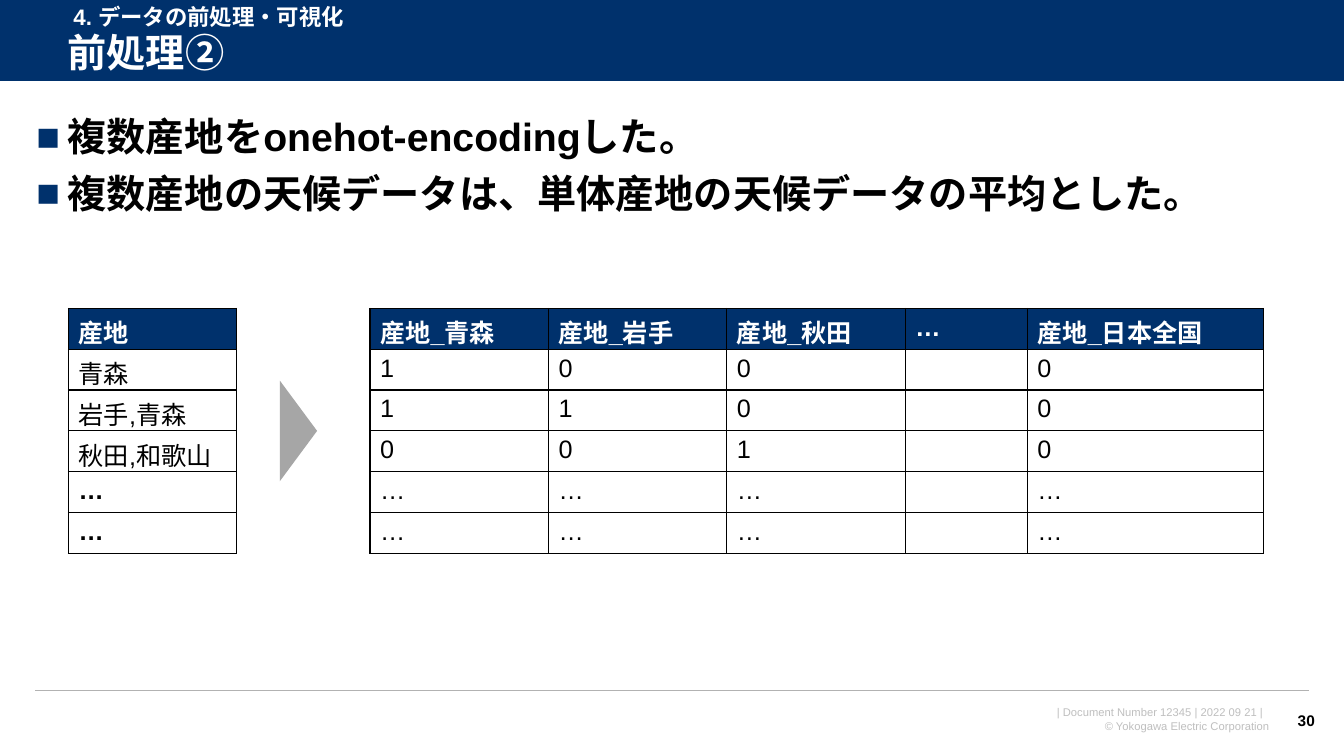
from lxml import etree
from pptx import Presentation
from pptx.dml.color import RGBColor
from pptx.enum import shapes, text
from pptx.oxml import ns
from pptx.util import Inches, Pt

COLORS = {
    "navy": "00316C",
    "white": "FFFFFF",
    "black": "000000",
    "rule": "B2B2B2",
    "footer": "BFBFBF",
    "arrow": "A6A6A6",
}
LEFT, RIGHT = text.PP_ALIGN.LEFT, text.PP_ALIGN.RIGHT


def write(frame, content, size, color, bold=False, align=LEFT):
    frame.text = content
    for paragraph in frame.paragraphs:
        paragraph.alignment = align
        for run in paragraph.runs:
            run.font.name = "Arial"
            run.font.size = Pt(size)
            run.font.bold = bold
            run.font.color.rgb = RGBColor.from_string(COLORS[color])


def add_xml(parent, tag, **attributes):
    element = etree.SubElement(parent, ns.qn(tag))
    for name, value in attributes.items():
        element.set(name, value)
    return element


presentation = Presentation()
presentation.slide_width = Inches(13.33)
presentation.slide_height = Inches(7.5)
slide = presentation.slides.add_slide(presentation.slide_layouts[1])
title, body = slide.placeholders

band = slide.shapes.add_shape(shapes.MSO_SHAPE.RECTANGLE, 0, 0, Inches(13.33), Inches(0.81))
arrow = slide.shapes.add_shape(
    shapes.MSO_SHAPE.ISOSCELES_TRIANGLE, Inches(2.46), Inches(4.09), Inches(1), Inches(0.37)
)
arrow.rotation = 90
for shape, color in [(band, "navy"), (arrow, "arrow")]:
    shape.shadow.inherit = False
    shape.fill.solid()
    shape.fill.fore_color.rgb = RGBColor.from_string(COLORS[color])
    shape.line.fill.background()

for left, right, top, color, width in [(0, 13.33, 0.81, "white", 0.75), (0.35, 12.98, 6.85, "rule", 1)]:
    rule = slide.shapes.add_connector(
        shapes.MSO_CONNECTOR.STRAIGHT, Inches(left), Inches(top), Inches(right), Inches(top)
    )
    rule.line.color.rgb = RGBColor.from_string(COLORS[color])
    rule.line.width = Pt(width)
    add_xml(rule._element.spPr, "a:effectLst")

slide.shapes._spTree.append(title._element)
title.left, title.top, title.width, title.height = map(Inches, (0.57, 0.26, 12.47, 0.57))
title.text_frame.auto_size = text.MSO_AUTO_SIZE.NONE
title.text_frame.vertical_anchor = text.MSO_ANCHOR.MIDDLE
write(title.text_frame, "前処理②", 28, "white", True)
title.text_frame.paragraphs[0].line_spacing = 0.9

body.left, body.top, body.width, body.height = map(Inches, (0.26, 1.12, 12.78, 1.2))
body.text_frame.auto_size = text.MSO_AUTO_SIZE.NONE
write(
    body.text_frame,
    "複数産地をonehot-encodingした。\n複数産地の天候データは、単体産地の天候データの平均とした。",
    28, "black", True,
)
for index, paragraph in enumerate(body.text_frame.paragraphs):
    properties = paragraph._p.get_or_add_pPr()
    properties.set("marL", str(Inches(0.31)))
    properties.set("indent", str(-Inches(0.31)))
    bullet_color = add_xml(properties, "a:buClr")
    add_xml(bullet_color, "a:srgbClr", val=COLORS["navy"])
    add_xml(properties, "a:buFont", typeface="Arial")
    add_xml(properties, "a:buChar", char="■")
    paragraph.line_spacing = 0.9
    paragraph.space_before = Pt(10 if index else 0)

labels = [
    (0.63, -0.02, 3.1, 0.37, "4. データの前処理・可視化", 16, "white", True, LEFT),
    (9.48, 6.95, 3.21, 0.37,
     "| Document Number 12345 | 2022 09 21 |  \n© Yokogawa Electric Corporation", 8, "footer", False, RIGHT),
    (12.7, 6.95, 0.44, 0.4, "30", 11, "black", True, RIGHT),
]
for left, top, width, height, content, size, color, bold, align in labels:
    label = slide.shapes.add_textbox(Inches(left), Inches(top), Inches(width), Inches(height))
    label.text_frame.word_wrap = True
    write(label.text_frame, content, size, color, bold, align)
page_number = label
page_number.text_frame.word_wrap = False
page_number.text_frame.vertical_anchor = text.MSO_ANCHOR.MIDDLE

origin_rows = [["産地"], ["青森"], ["岩手,青森"], ["秋田,和歌山"], ["…"], ["…"]]
onehot_rows = [
    ["産地_青森", "産地_岩手", "産地_秋田", "…", "産地_日本全国"],
    ["1", "0", "0", "", "0"],
    ["1", "1", "0", "", "0"],
    ["0", "0", "1", "", "0"],
    ["…", "…", "…", "", "…"],
    ["…", "…", "…", "", "…"],
]
tables = [
    (0.68, [1.67], origin_rows, True),
    (3.67, [1.77, 1.77, 1.77, 1.21, 2.34], onehot_rows, False),
]
for left, widths, rows, bold_dots in tables:
    table = slide.shapes.add_table(
        len(rows), len(widths), Inches(left), Inches(3.06), Inches(sum(widths)), Inches(2.43)
    ).table
    for column, width in zip(table.columns, widths):
        column.width = Inches(width)
    for row_index, row in enumerate(rows):
        header = row_index == 0
        for column_index, content in enumerate(row):
            cell = table.cell(row_index, column_index)
            bold = header or (bold_dots and content == "…")
            write(cell.text_frame, content, 18, "white" if header else "black", bold)
            if not content:
                cell.text_frame.paragraphs[0].font.size = Pt(18)
            cell_properties = cell._tc.get_or_add_tcPr()
            for side in ("a:lnL", "a:lnR", "a:lnT", "a:lnB"):
                border = add_xml(cell_properties, side, w=str(Pt(1)))
                add_xml(add_xml(border, "a:solidFill"), "a:srgbClr", val=COLORS["black"])
            if header:
                cell.fill.solid()
                cell.fill.fore_color.rgb = RGBColor.from_string(COLORS["navy"])
            else:
                cell.fill.background()

presentation.save("out.pptx")
